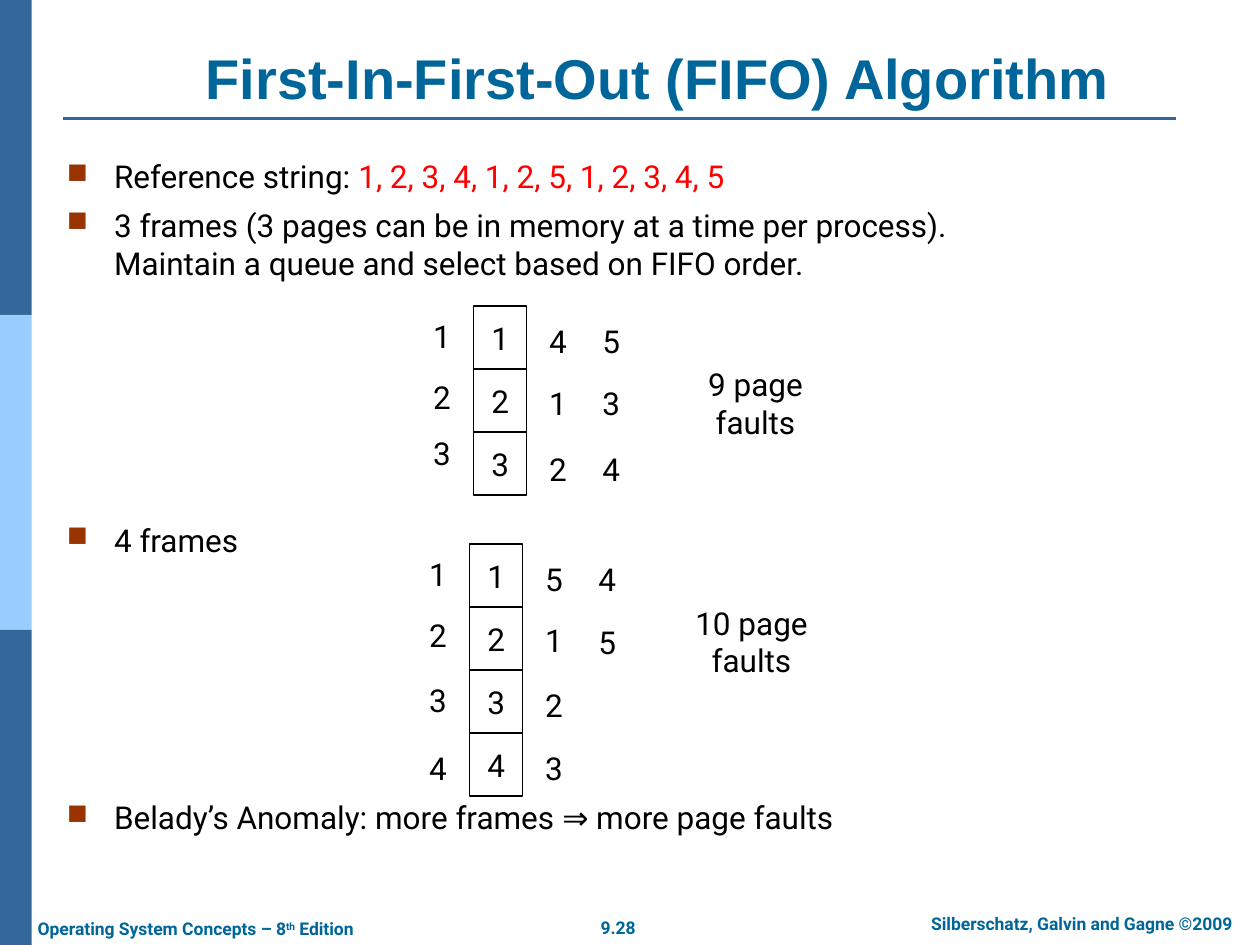
from dataclasses import dataclass

from lxml import etree
from pptx import Presentation
from pptx.dml.color import RGBColor as Rgb
from pptx.enum import shapes, text
from pptx.oxml import ns
from pptx.util import Cm, Pt

ALIGN, ANCHOR = text.PP_ALIGN, text.MSO_ANCHOR


@dataclass(frozen=True)
class Theme:
    blue: str = "336699"
    sky: str = "99CCFF"
    teal: str = "006699"
    rust: str = "993300"
    red: str = "FF0000"
    black: str = "000000"
    white: str = "FFFFFF"
    head: str = "Arial"
    body: str = "Roboto"
    big: int = 32
    mid: int = 18
    small: int = 10


T = Theme()


def style(font, size, color, name=T.body, bold=False):
    font.size, font.name, font.bold = Pt(size), name, bold
    font.color.rgb = Rgb.from_string(color)


def frame(slide, box, anchor=ANCHOR.TOP, pad=0.25):
    """Add a wrapping text box and return its text frame."""
    tf = slide.shapes.add_textbox(*map(Cm, box)).text_frame
    tf.word_wrap, tf.vertical_anchor = True, anchor
    tf.margin_left = tf.margin_right = Cm(pad)
    return tf


def label(slide, box, words, size=T.mid, color=T.black, name=T.body,
          bold=False, align=ALIGN.CENTER, anchor=ANCHOR.MIDDLE, pad=0):
    para = frame(slide, box, anchor, pad).paragraphs[0]
    para.text, para.alignment = words, align
    style(para.font, size, color, name, bold)
    return para


def block(slide, box, fill, edge=None):
    rect = slide.shapes.add_shape(shapes.MSO_SHAPE.RECTANGLE, *map(Cm, box))
    rect.shadow.inherit = False
    rect.fill.solid()
    rect.fill.fore_color.rgb = Rgb.from_string(fill)
    if edge:
        rect.line.color.rgb = Rgb.from_string(edge)
        rect.line.width = Pt(0.75)
    else:
        rect.line.fill.background()
    return rect


def sidebar(slide, x, y, w, h):
    part = h / 3
    for i, fill in enumerate((T.blue, T.sky, T.blue)):
        block(slide, (x, y + i * part, w, part), fill)


def header(slide, x, y, w, h):
    label(slide, (x + 1.13, y, 21.72, h), "First-In-First-Out (FIFO) Algorithm",
          T.big, T.teal, T.head, True, anchor=ANCHOR.BOTTOM, pad=0.25)
    base = y + h + 0.03
    rule = slide.shapes.add_connector(
        shapes.MSO_CONNECTOR.STRAIGHT, Cm(x), Cm(base), Cm(x + w), Cm(base))
    rule.line.color.rgb = Rgb.from_string(T.blue)
    rule.line.width = Pt(1.5)
    etree.SubElement(rule._element.spPr, ns.qn("a:effectLst"))


def footer(slide, x, y, w, h):
    look = dict(size=T.small, color=T.teal, bold=True,
                anchor=ANCHOR.TOP, pad=0.25)
    left = label(slide, (x, y + 0.1, 7.32, h), "Operating System Concepts – 8",
                 align=ALIGN.LEFT, **look)
    power = left.add_run()
    power.text = "th"
    power._r.get_or_add_rPr().set("baseline", "30000")
    left.add_run().text = " Edition"
    label(slide, (x + 11.2, y + 0.08, 1.5, h), "9.28", **look)
    label(slide, (x + w - 7.19, y, 7.19, h),
          "Silberschatz, Galvin and Gagne ©2009", **look)


def bullet(para):
    props = para._p.get_or_add_pPr()
    props.set("marL", str(Cm(0.95)))
    props.set("indent", str(-Cm(0.95)))
    color = etree.Element(ns.qn("a:buClr"))
    etree.SubElement(color, ns.qn("a:srgbClr")).set("val", T.rust)
    size = etree.Element(ns.qn("a:buSzPct"))
    size.set("val", "90000")
    mark = etree.Element(ns.qn("a:buChar"))
    mark.set("char", "■")
    # Bullet settings come before the default run properties
    for i, part in enumerate((color, size, mark)):
        at = len(props.findall(ns.qn("a:spcBef"))) + i
        props.insert(at, part)


def points(slide, x, y, w, h):
    gap = 136.8  # room for a frame grid above the point
    items = (
        ("Reference string:", 0),
        ("3 frames (3 pages can be in memory at a time per process). "
         "Maintain a queue and select based on FIFO order.", 6.3),
        ("4 frames", gap),
        ("Belady’s Anomaly: more frames ⇒ more page faults", gap),
    )
    tf = frame(slide, (x, y, w, h))
    for i, (words, space) in enumerate(items):
        para = tf.add_paragraph() if i else tf.paragraphs[0]
        para.text, para.space_before = words, Pt(space)
        style(para.font, T.mid, T.black)
        bullet(para)
    refs = tf.paragraphs[0].add_run()
    refs.text = " 1, 2, 3, 4, 1, 2, 5, 1, 2, 3, 4, 5"
    refs.font.color.rgb = Rgb.from_string(T.red)


def grid(slide, x, y, count, cols, note):
    """Stack numbered frames at x, y, with columns of pages beside them."""
    w, h = 1.07, 1.27
    for i in range(count):
        cell = block(slide, (x, y + i * h, w, h), T.white, T.black)
        tf = cell.text_frame
        tf.word_wrap, tf.vertical_anchor = False, ANCHOR.MIDDLE
        para = tf.paragraphs[0]
        para.text, para.alignment = str(i + 1), ALIGN.CENTER
        style(para.font, T.mid, T.black)
    for dx, (pages, tops) in zip((-w, w + 0.2, 2 * w + 0.2), cols):
        for page, top in zip(pages, tops):
            label(slide, (x + dx, y + top, 0.86, 1.02), page)
    label(slide, (x + 3.53, y + 1.45, 4.3, 1.02), note, pad=0.8)


def main():
    deck = Presentation()
    deck.slide_width, deck.slide_height = Cm(25.4), Cm(19.05)
    slide = deck.slides.add_slide(deck.slide_layouts[6])
    sidebar(slide, 0, 0, 0.64, 19.05)
    header(slide, 1.27, 0.76, 22.43, 1.6)
    points(slide, 1.1, 3.05, 19.53, 14.5)
    # Page tables: digits and their tops for each column
    three = (0.2, 1.45, 2.77)
    grid(slide, 9.55, 6.17, 3, (("123", (0.1, 1.32, 2.46)),
                                ("412", three), ("534", three)),
         "9 page faults")
    grid(slide, 9.47, 10.97, 4, (("1234", (0.1, 1.32, 2.64, 4.01)),
                                 ("5123", (0.2, 1.42, 2.74, 4.01)),
                                 ("45", (0.2, 1.47))),
         "10 page faults")
    footer(slide, 0.51, 18.29, 24.89, 0.69)
    deck.save("out.pptx")


if __name__ == "__main__":
    main()
